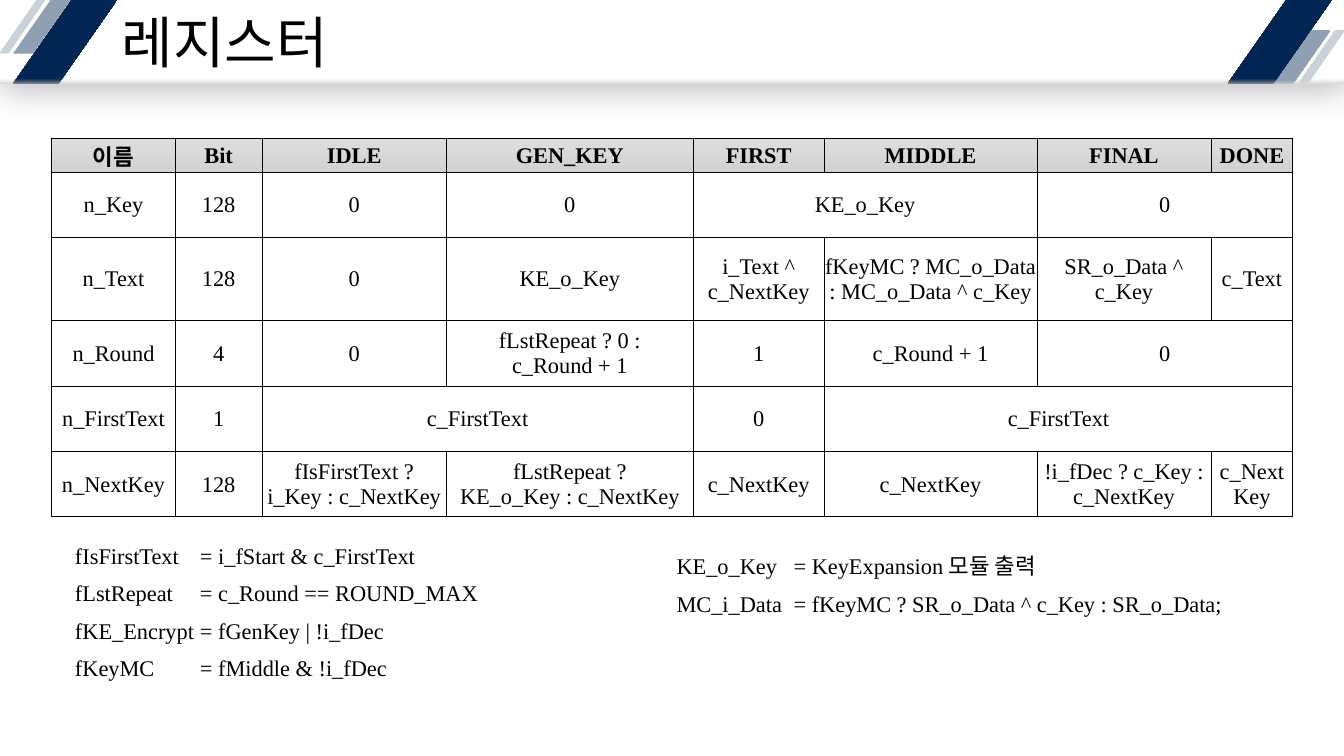
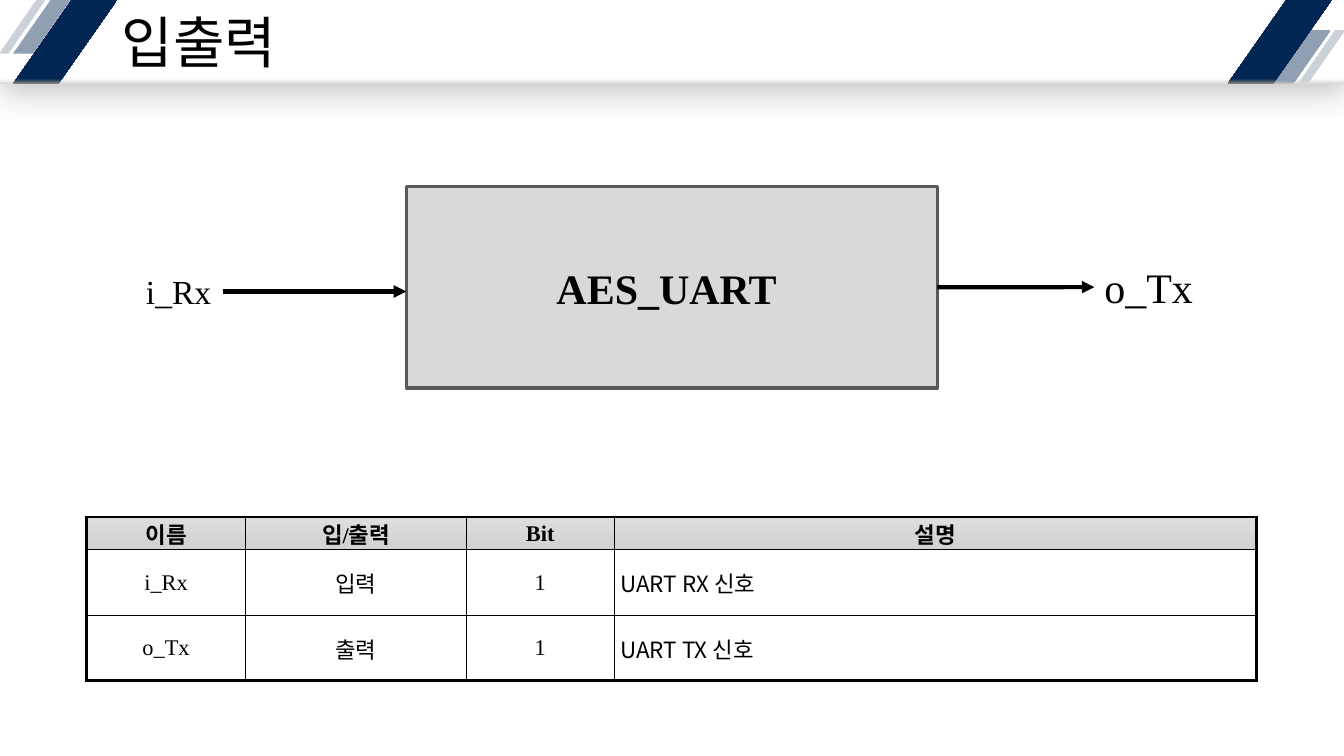
import dataclasses
from typing import Optional, Sequence

import pptx
import pptx.dml.color
import pptx.enum.dml
import pptx.enum.shapes
import pptx.enum.text
import pptx.oxml
import pptx.oxml.ns
import pptx.util

Cm = pptx.util.Cm
Pt = pptx.util.Pt
RGBColor = pptx.dml.color.RGBColor
MSO_SHAPE = pptx.enum.shapes.MSO_SHAPE
MSO_ANCHOR = pptx.enum.text.MSO_ANCHOR
PP_ALIGN = pptx.enum.text.PP_ALIGN
qn = pptx.oxml.ns.qn

BLACK = RGBColor(0x00, 0x00, 0x00)
WHITE = RGBColor(0xFF, 0xFF, 0xFF)
NAVY = RGBColor(0x02, 0x26, 0x53)
STEEL = RGBColor(0x90, 0x9F, 0xB1)
PALE = RGBColor(0xCA, 0xD1, 0xD9)
SHADE_DARK = RGBColor(0x80, 0x80, 0x80)
SHADE_MID = RGBColor(0xBF, 0xBF, 0xBF)
LIGHT_GREY = RGBColor(0xD9, 0xD9, 0xD9)
BOX_EDGE = RGBColor(0x59, 0x59, 0x59)
HEAD_TOP = RGBColor(0xDD, 0xDD, 0xDD)
HEAD_BOTTOM = RGBColor(0xD2, 0xD2, 0xD2)

SERIF = "Times New Roman"
SANS = "Noto Sans CJK KR"
NS = 'xmlns:a="http://schemas.openxmlformats.org/drawingml/2006/main"'

SLIDE_W, SLIDE_H = 33.87, 19.05
BAND_H = 2.11
THIN = 0.25


@dataclasses.dataclass(frozen=True)
class Stripe:
    left: float
    top: float
    width: float
    height: float
    slant: float
    color: RGBColor
    foot: Optional[RGBColor] = None


STRIPES = (
    Stripe(0.33, 0, 1.45, 1.35, 0.7, STEEL),
    Stripe(0.33, 0, 2.62, BAND_H, 0.7, NAVY, SHADE_DARK),
    Stripe(-0.02, 0, 1.17, 1.35, 0.8, PALE),
    Stripe(32.08, 0.76, 1.45, 1.35, 0.7, STEEL, SHADE_MID),
    Stripe(30.94, 0, 2.62, BAND_H, 0.7, NAVY, SHADE_DARK),
    Stripe(32.72, 0.76, 1.17, 1.35, 0.8, PALE, LIGHT_GREY),
)


@dataclasses.dataclass(frozen=True)
class Grid:
    """Table content; None in a row extends the cell on its left."""
    left: float
    top: float
    cols: Sequence[float]
    heights: Sequence[float]
    rows: Sequence[Sequence[Optional[str]]]
    outer: float


@dataclasses.dataclass(frozen=True)
class Definitions:
    left: float
    width: float
    height: float
    tab: float
    lines: Sequence[str]


REGISTERS = Grid(
    1.3, 3.5,
    (3.12, 2.18, 4.65, 6.22, 3.3, 5.36, 4.39, 2.06),
    (0.83, 1.65, 2.09, 1.65, 1.65, 1.65),
    (
        ("이름", "Bit", "IDLE", "GEN_KEY", "FIRST", "MIDDLE", "FINAL", "DONE"),
        ("n_Key", "128", "0", "0", "KE_o_Key", None, "0", None),
        ("n_Text", "128", "0", "KE_o_Key", "i_Text ^\nc_NextKey",
         "fKeyMC ? MC_o_Data : MC_o_Data ^ c_Key", "SR_o_Data ^ c_Key", "c_Text"),
        ("n_Round", "4", "0", "fLstRepeat ? 0 :\nc_Round + 1", "1",
         "c_Round + 1", "0", None),
        ("n_FirstText", "1", "c_FirstText", None, "0", "c_FirstText", None, None),
        ("n_NextKey", "128", "fIsFirstText ?\ni_Key : c_NextKey",
         "fLstRepeat ?\nKE_o_Key : c_NextKey", "c_NextKey", "c_NextKey",
         "!i_fDec ? c_Key : c_NextKey", "c_NextKey"),
    ),
    outer=1,
)

PORTS = Grid(
    2.18, 13.03,
    (4.01, 5.56, 3.73, 16.18),
    (0.82, 1.65, 1.65),
    (
        ("이름", "입/출력", "Bit", "설명"),
        ("i_Rx", "입력", "1", "UART RX 신호"),
        ("o_Tx", "출력", "1", "UART TX 신호"),
    ),
    outer=2.25,
)

DEFINITIONS = (
    Definitions(16.94, 16.46, 1.9, 2.95, (
        "KE_o_Key\t= KeyExpansion 모듈 출력",
        "MC_i_Data\t= fKeyMC ? SR_o_Data ^ c_Key : SR_o_Data;",
    )),
    Definitions(1.78, 12.29, 3.94, 3.15, (
        "fIsFirstText\t= i_fStart & c_FirstText",
        "fLstRepeat\t= c_Round == ROUND_MAX",
        "fKE_Encrypt\t= fGenKey | !i_fDec",
        "fKeyMC\t= fMiddle & !i_fDec",
    )),
)


def set_gradient(fill, start: RGBColor, end: RGBColor, angle: float, reach: float = 1) -> None:
    """Blend start into end; the end colour is reached at the given fraction."""
    fill.gradient()
    fill.gradient_angle = angle
    first, last = fill.gradient_stops
    first.color.rgb, last.color.rgb = start, end
    last.position = reach


def set_margins(target, left: float, top: float, right: float, bottom: float) -> None:
    target.margin_left, target.margin_top = Cm(left), Cm(top)
    target.margin_right, target.margin_bottom = Cm(right), Cm(bottom)


def style_text(tf, size: float, bold: bool = False, align=PP_ALIGN.LEFT, font: str = SERIF) -> None:
    for p in tf.paragraphs:
        p.alignment = align
        p.font.name, p.font.size, p.font.bold = font, Pt(size), bold
        p.font.color.rgb = BLACK


def add_plain_shape(s, kind, left: float, top: float, width: float, height: float):
    sp = s.shapes.add_shape(kind, Cm(left), Cm(top), Cm(width), Cm(height))
    sp.shadow.inherit = False
    sp.line.fill.background()
    return sp


def decorate_layout(s) -> None:
    """Draw the title band once and move it into the layout of the slide."""
    layout = s.slide_layout
    for ph in list(layout.placeholders):
        if ph.placeholder_format.type != pptx.enum.shapes.PP_PLACEHOLDER.TITLE:
            ph.element.getparent().remove(ph.element)

    band = add_plain_shape(s, MSO_SHAPE.RECTANGLE, 0, 0, SLIDE_W, BAND_H)
    set_gradient(band.fill, LIGHT_GREY, WHITE, 90, 0.06)
    band.element.spPr.find(qn("a:effectLst")).append(pptx.oxml.parse_xml(
        f'<a:outerShdw {NS} blurRad="{Pt(24)}" dist="{Pt(3)}" dir="{80 * 60000}" algn="t"'
        ' rotWithShape="0"><a:srgbClr val="767171"><a:alpha val="50000"/>'
        '</a:srgbClr></a:outerShdw>'))
    parts = [band]
    for stripe in STRIPES:
        sp = add_plain_shape(s, MSO_SHAPE.PARALLELOGRAM, stripe.left, stripe.top,
                             stripe.width, stripe.height)
        sp.adjustments[0] = stripe.slant
        if stripe.foot is None:
            sp.fill.solid()
            sp.fill.fore_color.rgb = stripe.color
        else:
            set_gradient(sp.fill, stripe.foot, stripe.color, 90, 0.06)
        parts.append(sp)
    for sp in parts:
        layout.shapes.element.append(sp.element)


def add_titled_slide(prs, title: str):
    s = prs.slides.add_slide(prs.slide_layouts[5])
    sp = s.shapes.title
    sp.left, sp.top, sp.width, sp.height = Cm(0.38), Cm(0), Cm(22.25), Cm(BAND_H)
    tf = sp.text_frame
    tf.text = title
    tf.auto_size = pptx.enum.text.MSO_AUTO_SIZE.NONE
    tf.vertical_anchor = MSO_ANCHOR.MIDDLE
    set_margins(tf, 2.69, 0.3, 2.69, 0.1)
    style_text(tf, 40)
    tf.paragraphs[0].line_spacing = 0.9
    return s


def set_borders(cell, left: float, right: float, top: float, bottom: float) -> None:
    tc_pr = cell._tc.get_or_add_tcPr()
    for side, width in zip("LRTB", (left, right, top, bottom)):
        tc_pr.append(pptx.oxml.parse_xml(
            f'<a:ln{side} {NS} w="{Pt(width)}"><a:solidFill><a:srgbClr val="{BLACK}"/>'
            f'</a:solidFill></a:ln{side}>'))


def add_bare_table(s, left: float, top: float, cols: Sequence[float], heights: Sequence[float]):
    table = s.shapes.add_table(len(heights), len(cols), Cm(left), Cm(top),
                               Cm(sum(cols)), Cm(sum(heights))).table
    table.first_row = table.horz_banding = False
    for column, width in zip(table.columns, cols):
        column.width = Cm(width)
    for row, height in zip(table.rows, heights):
        row.height = Cm(height)
    return table


def add_grid(s, grid: Grid):
    table = add_bare_table(s, grid.left, grid.top, grid.cols, grid.heights)
    last_row, last_col = len(grid.rows) - 1, len(grid.cols) - 1
    for i, row in enumerate(grid.rows):
        for j, text in enumerate(row):
            cell = table.cell(i, j)
            end = j
            while end < last_col and row[end + 1] is None:
                end += 1
            set_borders(cell,
                        grid.outer if j == 0 else THIN,
                        grid.outer if end == last_col else THIN,
                        grid.outer if i == 0 else THIN,
                        grid.outer if i == last_row else THIN)
            if i == 0:
                set_gradient(cell.fill, HEAD_TOP, HEAD_BOTTOM, 270)
            else:
                cell.fill.solid()
                cell.fill.fore_color.rgb = WHITE
            if text is None:
                continue
            if end > j:
                cell.merge(table.cell(i, end))
            cell.text = text
            cell.vertical_anchor = MSO_ANCHOR.MIDDLE
            set_margins(cell, 0.02, 0.02, 0.02, 0)
            style_text(cell.text_frame, 16, i == 0, PP_ALIGN.CENTER)
    return table


def add_definitions(s, block: Definitions) -> None:
    cell = add_bare_table(s, block.left, 13.41, (block.width,), (block.height,)).cell(0, 0)
    cell.fill.background()
    cell.text = "\n".join(block.lines)
    set_margins(cell, 0.11, 0, 0.11, 0)
    style_text(cell.text_frame, 16)
    for p in cell.text_frame.paragraphs:
        p.line_spacing = 1.5
        p._p.get_or_add_pPr().find(qn("a:defRPr")).addprevious(pptx.oxml.parse_xml(
            f'<a:tabLst {NS}><a:tab pos="{Cm(block.tab)}" algn="l"/></a:tabLst>'))


def add_label(s, text: str, size: float, left: float, top: float, width: float, height: float):
    sp = s.shapes.add_textbox(Cm(left), Cm(top), Cm(width), Cm(height))
    tf = sp.text_frame
    tf.text = text
    tf.word_wrap = False
    tf.auto_size = pptx.enum.text.MSO_AUTO_SIZE.SHAPE_TO_FIT_TEXT
    style_text(tf, size)
    return sp


def add_arrow(s, source, end_x: int):
    """Draw a level arrow from the right side of source to end_x."""
    y = source.top + source.height // 2
    line = s.shapes.add_connector(pptx.enum.shapes.MSO_CONNECTOR.STRAIGHT,
                                  source.left + source.width, y, end_x, y)
    line.begin_connect(source, 3)
    line.line.width = Pt(3)
    line.line.color.rgb = BLACK
    sp_pr = line.element.spPr
    sp_pr.find(qn("a:ln")).append(pptx.oxml.parse_xml(f'<a:tailEnd {NS} type="triangle"/>'))
    sp_pr.append(pptx.oxml.parse_xml(f"<a:effectLst {NS}/>"))
    return line


def build_registers(prs) -> None:
    s = add_titled_slide(prs, "레지스터")
    decorate_layout(s)
    add_grid(s, REGISTERS)
    for block in DEFINITIONS:
        add_definitions(s, block)


def build_ports(prs) -> None:
    s = add_titled_slide(prs, "입출력")
    box = add_plain_shape(s, MSO_SHAPE.RECTANGLE, 10.24, 4.7, 13.38, 5.08)
    box.fill.solid()
    box.fill.fore_color.rgb = LIGHT_GREY
    box.line.color.rgb = BOX_EDGE
    box.line.width = Pt(2.25)
    tf = box.text_frame
    tf.text = "AES_UART"
    tf.vertical_anchor = MSO_ANCHOR.MIDDLE
    set_margins(tf, 0.25, 0.13, 0.51, 0.13)
    style_text(tf, 30, True, PP_ALIGN.CENTER)

    rx = add_label(s, "i_Rx", 24, 3.43, 6.71, 2.18, 1.27)
    tx = add_label(s, "o_Tx", 30, 27.58, 6.46, 2.77, 1.55)
    add_arrow(s, rx, box.left)
    add_arrow(s, box, tx.left).end_connect(tx, 1)

    table = add_grid(s, PORTS)
    for i in range(1, len(PORTS.rows)):
        note = table.cell(i, 3)
        note.margin_left = Cm(0.16)
        style_text(note.text_frame, 16, font=SANS)


def main() -> None:
    prs = pptx.Presentation()
    prs.slide_width, prs.slide_height = Cm(SLIDE_W), Cm(SLIDE_H)
    build_registers(prs)
    build_ports(prs)
    prs.save("out.pptx")


if __name__ == "__main__":
    main()
